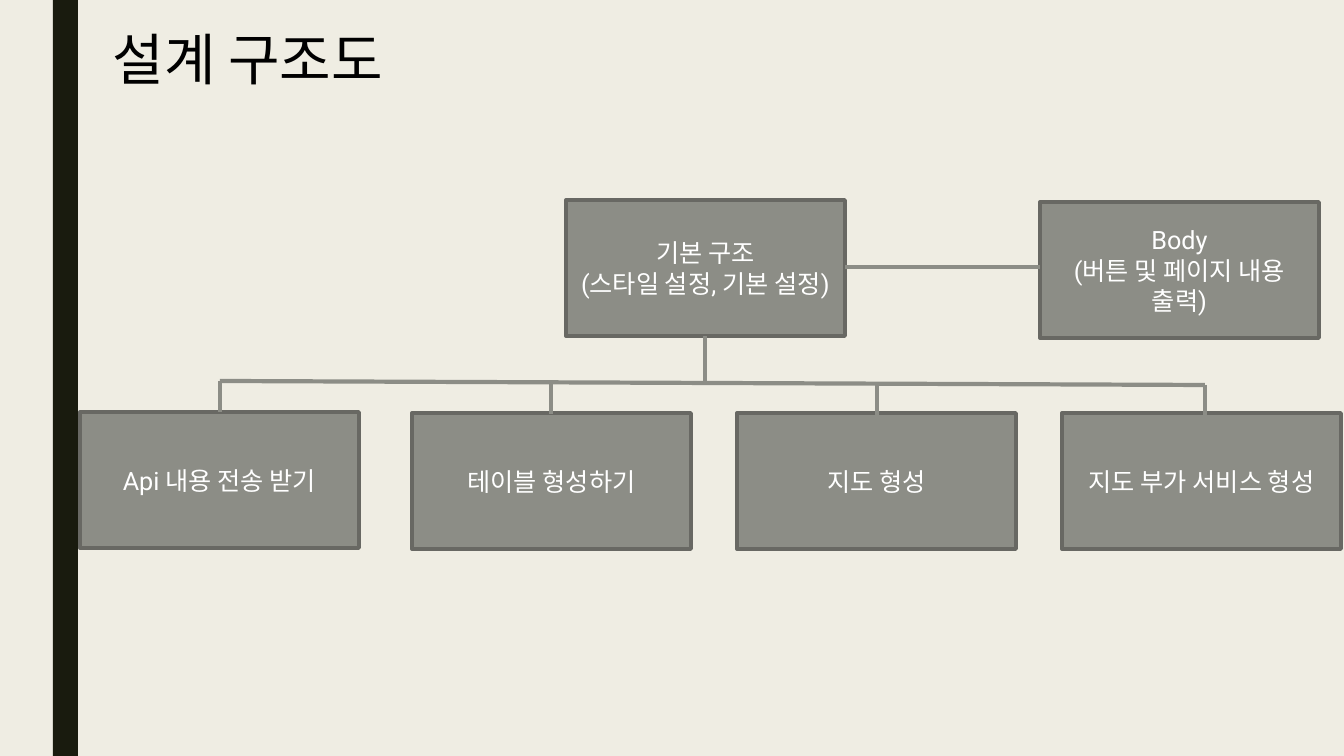
from pptx import Presentation
from pptx.dml.color import RGBColor
from pptx.enum.shapes import MSO_CONNECTOR, MSO_SHAPE
from pptx.enum.text import MSO_ANCHOR, MSO_AUTO_SIZE, PP_ALIGN
from pptx.oxml.ns import qn
from pptx.util import Inches, Pt
from lxml.etree import SubElement

TITLE = "설계 구조도"
ROOT = (["기본 구조", "(스타일 설정, 기본 설정)"], 566, 200)
BODY = (["Body", "(버튼 및 페이지 내용 출력)"], 1040, 202)
# lines, left, top, and the upper end of the branch, in px
CHILDREN = [
    (["Api 내용 전송 받기"], 80, 412, (220, 381)),
    (["테이블 형성하기"], 412, 413, (551, 383)),
    (["지도 형성"], 737, 413, (877, 385)),
    (["지도 부가 서비스 형성"], 1062, 413, (1205, 385)),
]

THEME = {
    "font": "Roboto", "title_size": 40, "box_size": 18,
    "background": "EFEDE3", "stripe": "191B0E", "title": "000000",
    "box": "8C8D86", "border": "686863", "box_text": "FFFFFF",
    "border_width": 2.75, "link_width": 3,
}
PX_PER_INCH = 100.8
SLIDE_W, SLIDE_H = 1344, 756
BOX_W, BOX_H = 279, 136
BRANCH_H = 31


def px(length):
    return round(Inches(1) * length / PX_PER_INCH)


def color(name):
    return RGBColor.from_string(THEME[name])


def add_block(left, top, width, height, fill):
    block = slide.shapes.add_shape(
        MSO_SHAPE.RECTANGLE, px(left), px(top), px(width), px(height))
    block.shadow.inherit = False
    block.fill.solid()
    block.fill.fore_color.rgb = color(fill)
    block.line.fill.background()
    return block


def write(frame, lines, size, ink, align, **frame_format):
    for key, value in {"word_wrap": True, **frame_format}.items():
        setattr(frame, key, value)
    for index, line in enumerate(lines):
        paragraph = frame.paragraphs[0] if index == 0 else frame.add_paragraph()
        paragraph.alignment = align
        run = paragraph.add_run()
        run.text = line
        run.font.color.rgb = color(ink)
        for key, value in {"name": THEME["font"], "size": Pt(THEME[size])}.items():
            setattr(run.font, key, value)


def add_box(lines, left, top):
    box = add_block(left, top, BOX_W, BOX_H, "box")
    box.line.color.rgb = color("border")
    box.line.width = Pt(THEME["border_width"])
    write(box.text_frame, lines, "box_size", "box_text", PP_ALIGN.CENTER,
          vertical_anchor=MSO_ANCHOR.MIDDLE)


def add_link(start, end):
    link = slide.shapes.add_connector(
        MSO_CONNECTOR.STRAIGHT, *map(px, (*start, *end)))
    link.line.color.rgb = color("box")
    link.line.width = Pt(THEME["link_width"])
    SubElement(link._element.spPr, qn("a:effectLst"))


deck = Presentation()
deck.slide_width, deck.slide_height = px(SLIDE_W), px(SLIDE_H)
slide = deck.slides.add_slide(deck.slide_layouts[6])
slide.background.fill.solid()
slide.background.fill.fore_color.rgb = color("background")

add_block(53, 0, 25, SLIDE_H, "stripe")
heading = slide.shapes.add_textbox(px(103), px(20), px(605), px(78))
write(heading.text_frame, [TITLE], "title_size", "title", PP_ALIGN.LEFT,
      auto_size=MSO_AUTO_SIZE.SHAPE_TO_FIT_TEXT)

for lines, left, top, _ in CHILDREN:
    add_box(lines, left, top)
add_box(*ROOT)
add_box(*BODY)

branches = [branch for *_, branch in CHILDREN]
for x, y in branches:
    add_link((x, y), (x, y + BRANCH_H))
add_link(branches[0], branches[-1])

_, root_left, root_top = ROOT
root_center = root_left + BOX_W // 2
add_link((root_center, root_top + BOX_H), (root_center, branches[-1][1]))
link_y = root_top + BOX_H // 2 - 1
add_link((root_left + BOX_W, link_y), (BODY[1], link_y))

deck.save("out.pptx")
